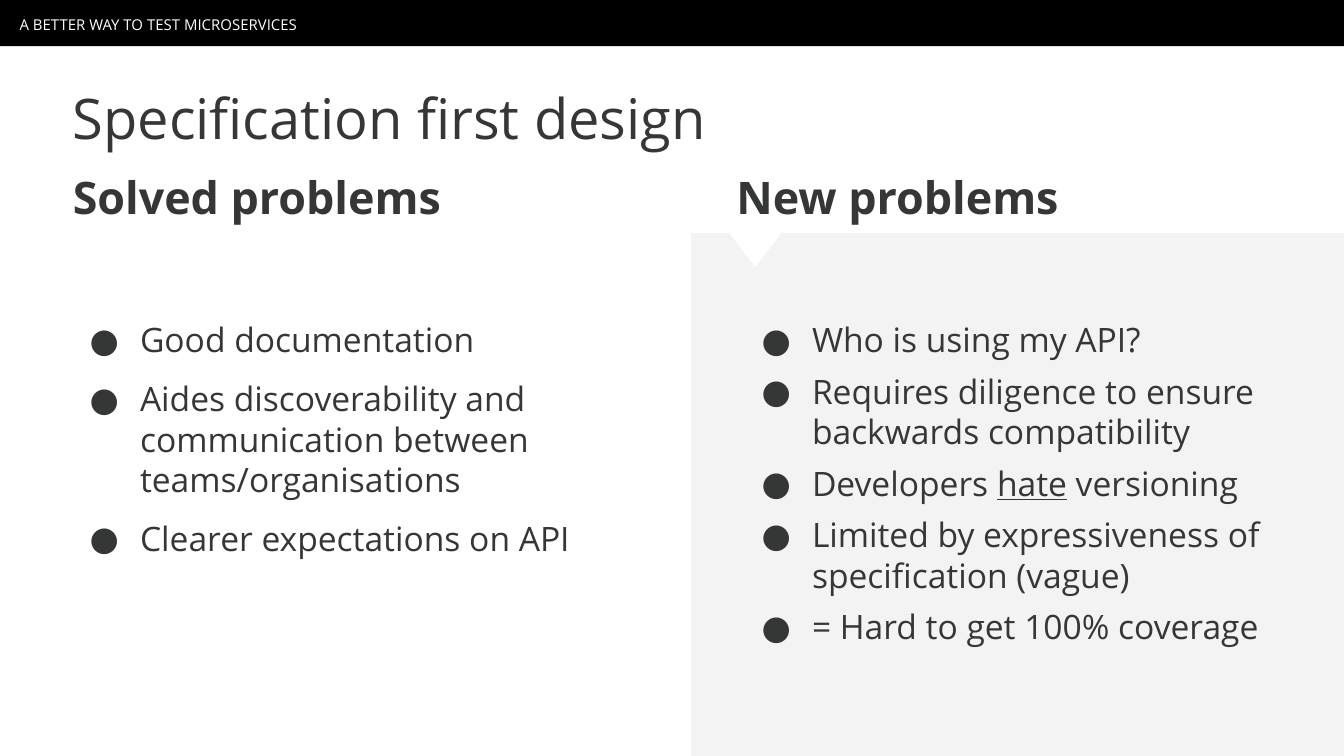
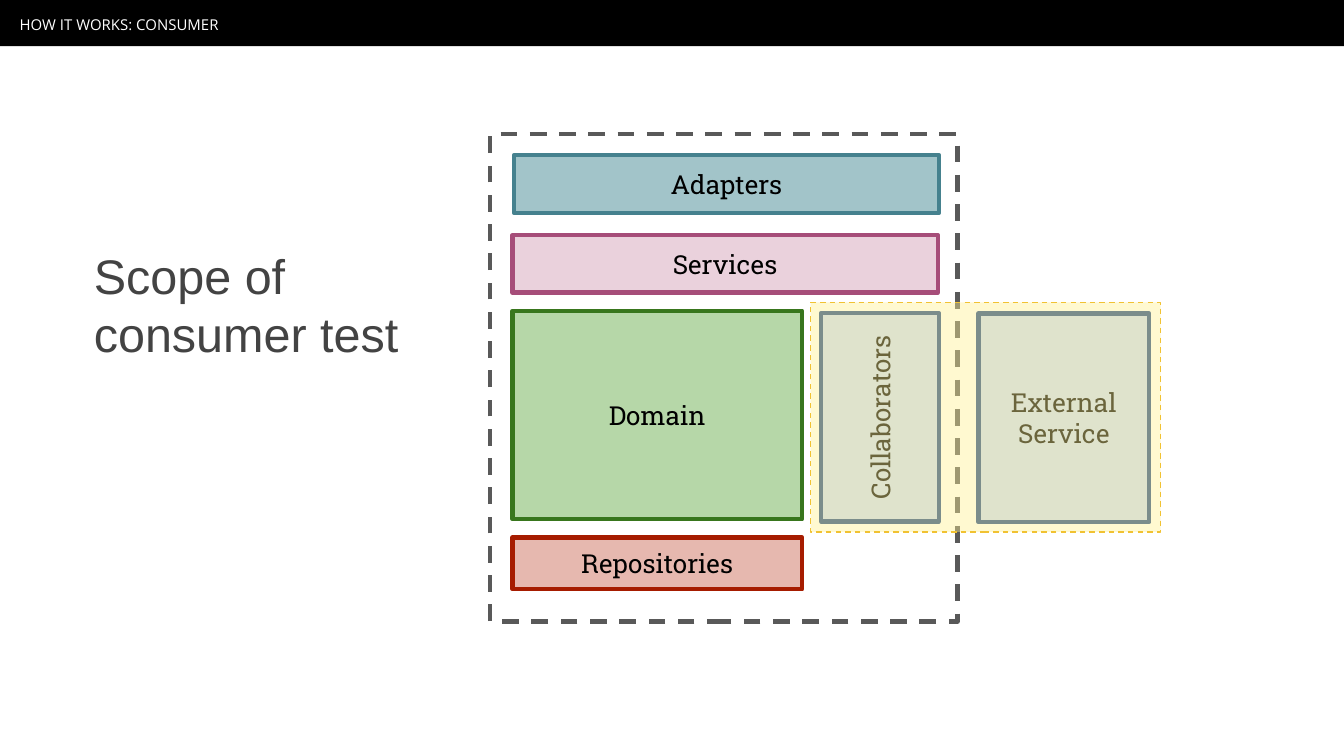
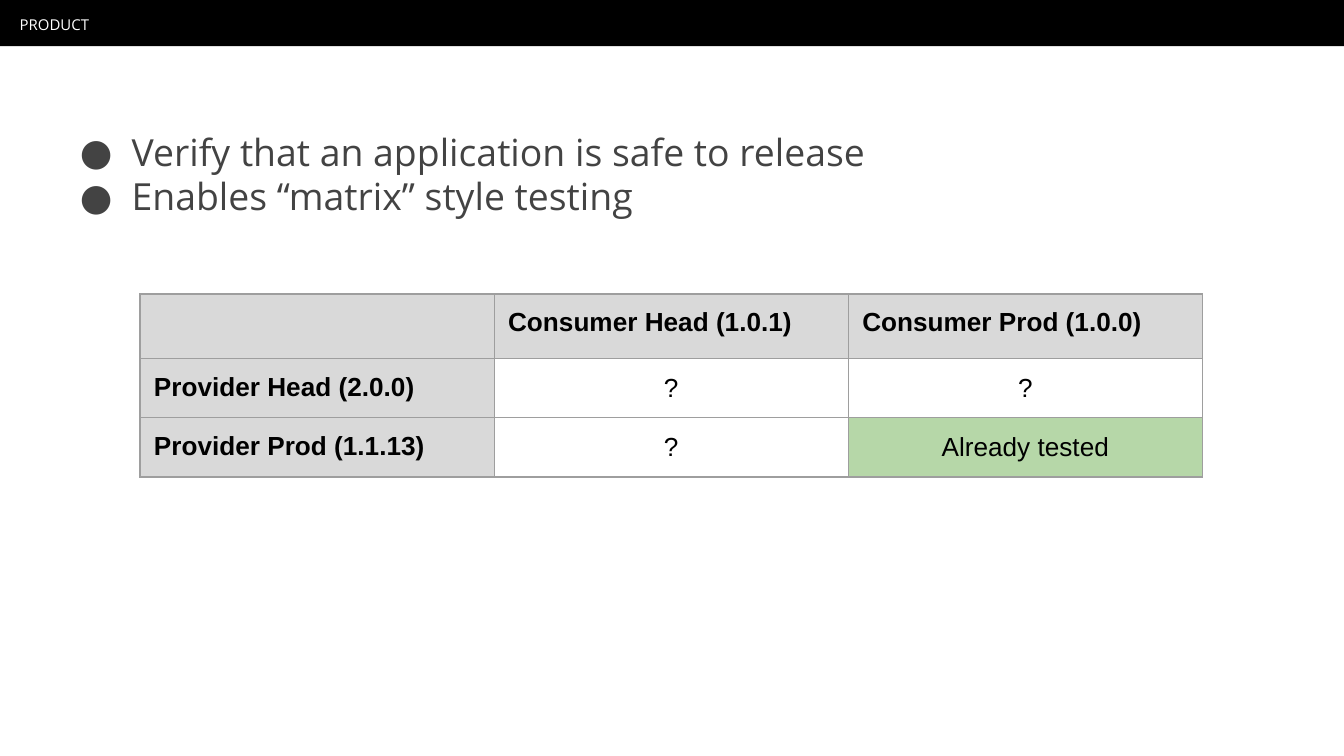
from lxml.etree import SubElement
from pptx import Presentation
from pptx.dml.color import RGBColor
from pptx.enum.dml import MSO_LINE_DASH_STYLE as Dash
from pptx.enum.shapes import MSO_SHAPE as Shape
from pptx.enum.text import MSO_ANCHOR as Anchor, PP_ALIGN as Align
from pptx.oxml.ns import qn
from pptx.util import Emu, Pt

INK, GREY_INK, BLACK, WHITE = "353737", "434343", "000000", "FFFFFF"
PANEL, HEADER, GREEN, RULE = "F3F3F3", "D9D9D9", "B6D7A8", "9E9E9E"
SANS, SLAB, ARIAL = "Open Sans", "Roboto Slab", "Arial"
WIDTH, HEIGHT = 960, 540
INSET = 10


def px(length):
    return Emu(length * 9525)


def rgb(color):
    return RGBColor.from_string(color)


def apply(target, values):
    for name, value in values.items():
        setattr(target, name, value)


def style(font, color=INK, **values):
    apply(font, values)
    font.color.rgb = rgb(color)


def insets(side=INSET, end=INSET):
    return {"margin_left": px(side), "margin_right": px(side),
            "margin_top": px(end), "margin_bottom": px(end)}


class Deck:
    def __init__(self):
        self.presentation = Presentation()
        apply(self.presentation, {"slide_width": px(WIDTH), "slide_height": px(HEIGHT)})
        self.shapes = None

    def new_slide(self):
        slide = self.presentation.slides.add_slide(self.presentation.slide_layouts[6])
        slide.background.fill.solid()
        slide.background.fill.fore_color.rgb = rgb(WHITE)
        self.shapes = slide.shapes

    def band(self, section):
        self.box((0, 0, WIDTH, 33), BLACK)
        self.text((4, 3, 848, 27), [section], anchor=Anchor.MIDDLE, spacing=1.15,
                  size=Pt(8), color=WHITE)

    def box(self, place, fill=None, line=None, weight=0.75, dash=None, alpha=None,
            kind=Shape.RECTANGLE, turn=0, label=None):
        shape = self.shapes.add_shape(kind, *map(px, place))
        shape.shadow.inherit = False
        shape.rotation = turn
        if fill:
            shape.fill.solid()
            shape.fill.fore_color.rgb = rgb(fill)
        else:
            shape.fill.background()
        if alpha:
            color = shape.fill._xPr.find(".//" + qn("a:srgbClr"))
            SubElement(color, qn("a:alpha"), val=str(alpha * 1000))
        if line:
            shape.line.color.rgb = rgb(line)
            apply(shape.line, {"width": Pt(weight), "dash_style": dash})
        else:
            shape.line.fill.background()
        if label:
            self.fill_text(shape.text_frame, [label], anchor=Anchor.MIDDLE,
                           align=Align.CENTER, name=SLAB, size=Pt(14), color=BLACK)

    def text(self, place, lines, **look):
        frame = self.shapes.add_textbox(*map(px, place)).text_frame
        self.fill_text(frame, lines, **look)

    def fill_text(self, frame, lines, anchor=Anchor.TOP, align=Align.LEFT, margins=None,
                  spacing=None, gap=0, hang=0, name=SANS, color=INK, **font):
        apply(frame, {"word_wrap": True, "vertical_anchor": anchor, **(margins or insets())})
        for number, line in enumerate(lines):
            paragraph = frame.add_paragraph() if number else frame.paragraphs[0]
            if hang:
                self.bullet(paragraph, hang, color)
            apply(paragraph, {"alignment": align, "line_spacing": spacing})
            if number and gap:
                paragraph.space_before = Pt(gap)
            for part, words in enumerate(line.split("_")):
                run = paragraph.add_run()
                run.text = words
                style(run.font, color, name=name, **font)
                if part % 2:
                    run.font.underline = True

    def bullet(self, paragraph, hang, color):
        properties = paragraph._p.get_or_add_pPr()
        properties.set("marL", str(px(48)))
        properties.set("indent", str(-px(hang)))
        tint = SubElement(properties, qn("a:buClr"))
        SubElement(tint, qn("a:srgbClr"), val=color)
        SubElement(properties, qn("a:buFont"), typeface=SANS)
        SubElement(properties, qn("a:buChar"), char="●")

    def borders(self, cell):
        properties = cell._tc.get_or_add_tcPr()
        for side in ("lnL", "lnR", "lnT", "lnB"):
            edge = SubElement(properties, qn("a:" + side), w=str(Pt(0.75)))
            SubElement(SubElement(edge, qn("a:solidFill")), qn("a:srgbClr"), val=RULE)

    def table(self, left, top, column_width, heights, rows, fills):
        columns = len(rows[0])
        table = self.shapes.add_table(len(rows), columns, px(left), px(top),
                                      px(column_width * columns), px(sum(heights))).table
        apply(table, {"first_row": False, "horz_banding": False})
        for column in table.columns:
            column.width = px(column_width)
        for r, row in enumerate(rows):
            table.rows[r].height = px(heights[r])
            for c, words in enumerate(row):
                cell = table.cell(r, c)
                heading = r == 0 or c == 0
                fill = HEADER if heading else fills.get((r, c))
                self.borders(cell)
                if fill:
                    cell.fill.solid()
                    cell.fill.fore_color.rgb = rgb(fill)
                else:
                    cell.fill.background()
                if words:
                    apply(cell, insets())
                    cell.vertical_anchor = Anchor.TOP if heading else Anchor.MIDDLE
                    paragraph = cell.text_frame.paragraphs[0]
                    paragraph.alignment = Align.LEFT if heading else Align.CENTER
                    run = paragraph.add_run()
                    run.text = words
                    style(run.font, BLACK, name=ARIAL, size=Pt(14), bold=heading)


def specification_slide(deck):
    deck.new_slide()
    deck.box((494, 167, 466, 373), PANEL, PANEL)
    deck.band("A BETTER WAY TO TEST MICROSERVICES")
    for left, heading in ((42, "Solved problems"), (516, "New problems")):
        deck.text((left, 111, 444, 48), [heading], size=Pt(24), bold=True)
    deck.text((522, 218, 438, 308), [
        "Who is using my API?",
        "Requires diligence to ensure backwards compatibility",
        "Developers _hate_ versioning",
        "Limited by expressiveness of specification (vague)",
        "= Hard to get 100% coverage",
    ], gap=6, hang=36, size=Pt(18))
    deck.text((42, 218, 404, 245), [
        "Good documentation",
        "Aides discoverability and communication between teams/organisations",
        "Clearer expectations on API",
    ], gap=10, hang=36, size=Pt(18))
    deck.box((522, 167, 35, 23), WHITE, WHITE, kind=Shape.ISOSCELES_TRIANGLE, turn=180)
    deck.text((42, 50, 853, 48), ["Specification first design"], size=Pt(30))


def consumer_slide(deck):
    deck.new_slide()
    deck.band("HOW IT WORKS: CONSUMER")
    slide_shapes = deck.shapes
    deck.shapes = slide_shapes.add_group_shape().shapes
    deck.box((350, 96, 334, 348), line="595959", weight=2.25, dash=Dash.DASH)
    for label, place, fill, line, turn in (
        ("Adapters", (367, 111, 304, 41), "A2C4C9", "45818E", 0),
        ("Services", (366, 168, 304, 41), "EAD1DC", "A64D79", 0),
        ("Domain", (366, 222, 207, 149), GREEN, "38761D", 0),
        ("Repositories", (366, 384, 207, 37), "E6B8AF", "A61C00", 0),
        ("Collaborators", (554, 256, 149, 84), "C9DAF8", "1C4587", 270),
        ("External Service", (699, 224, 122, 149), "C9DAF8", "1C4587", 0),
    ):
        deck.box(place, fill, line, weight=2.25, turn=turn, label=label)
    deck.shapes = slide_shapes
    deck.box((579, 216, 250, 164), "FFF191", "F1C232", dash=Dash.DASH, alpha=42)
    deck.text((57, 145, 301, 144), ["Scope of consumer test"], anchor=Anchor.MIDDLE,
              margins=insets(end=5), name=ARIAL, color=GREY_INK, size=Pt(26))


def product_slide(deck):
    deck.new_slide()
    deck.band("PRODUCT")
    deck.text((36, 82, 850, 392), [
        "Verify that an application is safe to release",
        "Enables “matrix” style testing",
    ], hang=37, color=GREY_INK, size=Pt(20))
    deck.table(100, 210, 253, (46, 41, 41), (
        ("", "Consumer Head (1.0.1)", "Consumer Prod (1.0.0)"),
        ("Provider Head (2.0.0)", "?", "?"),
        ("Provider Prod (1.1.13)", "?", "Already tested"),
    ), {(2, 2): GREEN})


def main():
    deck = Deck()
    specification_slide(deck)
    consumer_slide(deck)
    product_slide(deck)
    deck.presentation.save("out.pptx")


if __name__ == "__main__":
    main()
